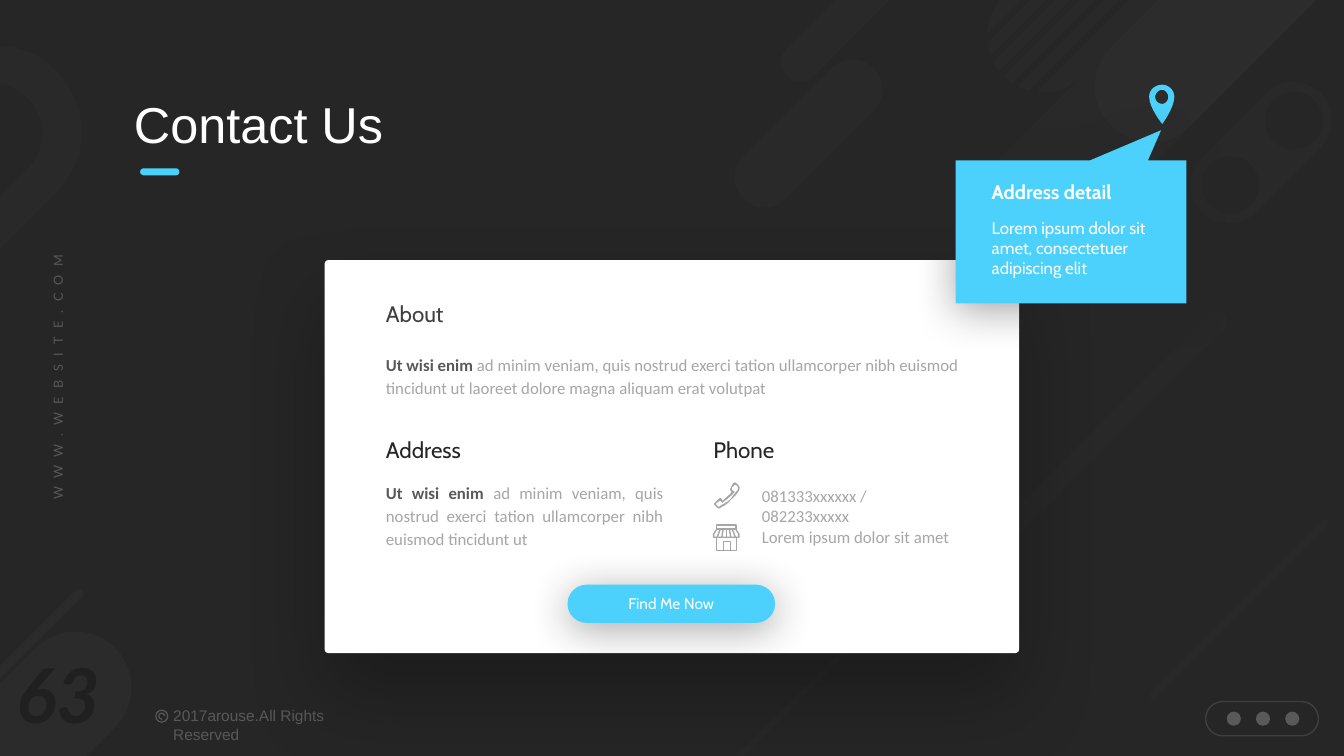
from pptx import Presentation
from pptx.dml.color import RGBColor
from pptx.enum.shapes import MSO_CONNECTOR, MSO_SHAPE
from pptx.enum.text import MSO_ANCHOR, PP_ALIGN
from pptx.oxml.ns import qn
from pptx.util import Inches, Pt
from lxml.etree import SubElement

CELL = Inches(0.1)
COLUMNS, ROWS = 133.33, 75

NIGHT = RGBColor(0x26, 0x26, 0x26)
NUMBER = RGBColor(0x20, 0x20, 0x20)
SHADE = RGBColor(0x0D, 0x0D, 0x0D)
PATTERN = RGBColor(0x40, 0x40, 0x40)
GRAY = RGBColor(0x59, 0x59, 0x59)
SILVER = RGBColor(0xA6, 0xA6, 0xA6)
WHITE = RGBColor(0xFF, 0xFF, 0xFF)
SKY = RGBColor(0x4B, 0xD1, 0xFB)

HEADING = {"name": "Cabin", "size": Pt(16)}
BODY = {"name": "Calibri", "size": Pt(12)}
STRONG = BODY | {"bold": True}
JUSTIFIED = {"alignment": PP_ALIGN.JUSTIFY, "line_spacing": 1.14}
CENTERED = {"alignment": PP_ALIGN.CENTER}
FLOATING = (NIGHT, 40, 30, 5)


def set_values(target, values):
    for name, value in values.items():
        setattr(target, name, value)


def cells(*counts):
    return [round(count * CELL) for count in counts]


def flatten(contour, steps=8):
    """Return grid points for a start point followed by lines (2 numbers) and curves (6)."""
    points = [contour[0]]
    for segment in contour[1:]:
        if len(segment) == 2:
            points.append(segment)
            continue
        knots = [points[-1], segment[:2], segment[2:4], segment[4:]]
        for step in range(1, steps + 1):
            t = step / steps
            weights = ((1 - t) ** 3, 3 * t * (1 - t) ** 2, 3 * t * t * (1 - t), t ** 3)
            points.append(tuple(sum(w * knot[axis] for w, knot in zip(weights, knots))
                                for axis in (0, 1)))
    return points


class Canvas:
    """Holds the slide and draws on it in grid columns and rows."""

    def __init__(self, deck):
        self.page = deck.slides.add_slide(deck.slide_layouts[6])
        background = self.page.background.fill
        background.solid()
        background.fore_color.rgb = NIGHT

    def paint(self, shape, fill=None, line=None, alpha=None, shadow=None):
        """Style a shape; shadow is (colour, opacity, blur, distance), cast downwards."""
        shape.shadow.inherit = False
        if fill is None:
            shape.fill.background()
        else:
            shape.fill.solid()
            shape.fill.fore_color.rgb = fill
        if line is None:
            shape.line.fill.background()
        else:
            shape.line.color.rgb = line
            shape.line.width = Pt(1)
        properties = shape._element.spPr
        if alpha:
            for color in properties.iter(qn("a:srgbClr")):
                SubElement(color, qn("a:alpha"), val=str(alpha * 1000))
        if shadow:
            tint, opacity, blur, distance = shadow
            outer = SubElement(properties.find(qn("a:effectLst")), qn("a:outerShdw"),
                               blurRad=str(Pt(blur)), dist=str(Pt(distance)),
                               dir="5400000", algn="t", rotWithShape="0")
            color = SubElement(outer, qn("a:srgbClr"), val=str(tint))
            SubElement(color, qn("a:alpha"), val=str(opacity * 1000))
        return shape

    def shape(self, kind, at, adjust=(), turn=0, **style):
        shape = self.page.shapes.add_shape(kind, *cells(*at))
        for index, value in enumerate(adjust):
            shape.adjustments[index] = value
        shape.rotation = turn
        return self.paint(shape, **style)

    def pill(self, at, **style):
        return self.shape(MSO_SHAPE.ROUNDED_RECTANGLE, at, (0.5,), **style)

    def outline(self, *contours, **style):
        flat = [[cells(*point) for point in flatten(contour)] for contour in contours]
        builder = self.page.shapes.build_freeform(*flat[0][0], scale=1.0)
        for index, points in enumerate(flat):
            if index:
                builder.move_to(*points[0])
            builder.add_line_segments(points[1:], close=True)
        return self.paint(builder.convert_to_shape(), **style)

    def stroke(self, start, end, color):
        line = self.page.shapes.add_connector(MSO_CONNECTOR.STRAIGHT, *cells(*start, *end))
        line.line.color.rgb = color
        line.line.width = Pt(1)
        SubElement(line._element.spPr, qn("a:effectLst"))

    def letter(self, box, spans, layout=None):
        """Fill the first paragraph with (words, font values, colour) spans."""
        para = box.text_frame.paragraphs[0]
        set_values(para, layout or {})
        for words, font, color in spans:
            span = para.add_run()
            span.text = words
            set_values(span.font, font)
            span.font.color.rgb = color
        return para

    def text(self, at, *spans, layout=None, turn=0):
        box = self.page.shapes.add_textbox(*cells(*at))
        box.text_frame.word_wrap = True
        box.rotation = turn
        return self.letter(box, spans, layout)


def draw_backdrop(canvas):
    canvas.outline([(0, 4.6), (0.8, 4.6), (2, 4.8, 3.2, 5.2, 4.2, 5.9), (5.6, 7), (6.7, 8.4),
                    (8.9, 11.7, 8.5, 16.2, 5.6, 19.1), (0, 24.7), (0, 19.5), (2.8, 16.7),
                    (4.7, 14.8, 4.7, 11.7, 2.8, 9.8), (2.1, 9.1, 1.2, 8.6, 0.3, 8.4), (0, 8.4)],
                   fill=PATTERN, alpha=15)
    for at in ((115.3, -28.8, 11.1, 61.4), (126.4, -39.9, 11.1, 61.4),
               (115.7, -44.9, 11.1, 61.4), (121.3, 6.8, 7.6, 16.7)):
        canvas.pill(at, turn=45, fill=PATTERN, alpha=15)
    for left, top in ((125.5, 9.1), (119.2, 15.5)):
        canvas.shape(MSO_SHAPE.OVAL, (left, top, 5.7, 5.7), fill=NIGHT)
    for index in range(5):
        canvas.pill((96.9 + 2.43 * index, -23.9, 0.6, 57), turn=45, fill=NIGHT)
    for at, alpha in (((-0.6, 61.6, 11.1, 18.3), 20), ((2.8, 56.5, 0.9, 13.9), 20),
                      ((82.9, 44.4, 0.5, 41.7), 10), ((105.6, 25.1, 2, 41.9), 10),
                      ((77.2, 4.1, 6, 18.3), 12), ((82.6, -8.1, 3.8, 18.3), 15),
                      ((122.6, 48, 0.7, 24.9), 10)):
        canvas.pill(at, turn=45, fill=PATTERN, alpha=alpha)


def draw_margins(canvas):
    canvas.text((-0.2, 63.8, 12, 10),
                ("63", {"name": "Lato", "size": Pt(54), "bold": True, "italic": True}, NUMBER),
                layout=CENTERED)
    canvas.shape(MSO_SHAPE.DONUT, (15.4, 70.4, 1.3, 1.3), (0.09,), fill=GRAY)
    canvas.shape(MSO_SHAPE.BLOCK_ARC, (15.7, 70.7, 0.7, 0.7), (45, -45, 0.17), fill=GRAY)
    canvas.text((16.2, 69.6, 23.2, 2.9),
                ("2017arouse.All Rights Reserved", {"name": "Arial", "size": Pt(11)}, GRAY))
    website = canvas.text((-8.7, 36.2, 28.9, 2.5),
                          ("WWW.WEBSITE.COM", {"name": "Lato", "size": Pt(9)}, GRAY),
                          layout=CENTERED, turn=270)
    website.runs[0]._r.get_or_add_rPr().set("spc", "600")
    canvas.pill((119.6, 69.6, 11.2, 3.4), line=GRAY, alpha=50)
    for index in range(3):
        canvas.shape(MSO_SHAPE.OVAL, (121.7 + 2.9 * index, 70.6, 1.4, 1.4), fill=GRAY)


def draw_phone(canvas):
    canvas.outline(
        [(73.3, 48.2), (73, 47.9), (72.9, 47.8, 72.8, 47.9, 72.7, 48), (72.5, 48.4),
         (72.4, 48.5, 72.4, 48.6, 72.5, 48.7), (72.6, 48.8), (72.5, 48.9, 72.4, 49.1, 72.2, 49.2),
         (71.7, 49.7), (71.6, 49.5), (71.5, 49.4, 71.4, 49.4, 71.3, 49.5), (70.9, 49.9),
         (70.8, 50, 70.8, 50, 70.9, 50.1), (71.1, 50.3), (71.2, 50.5, 71.4, 50.5, 71.6, 50.3),
         (71.6, 50.3, 72.1, 50.1, 72.5, 49.6), (73, 49.2, 73.3, 48.7, 73.3, 48.7),
         (73.4, 48.5, 73.4, 48.3, 73.3, 48.2)],
        [(73.2, 48.6), (73, 48.8, 72.7, 49.2, 72.5, 49.5), (72.2, 49.8, 71.4, 50.2, 71.4, 50.2),
         (71.4, 50.3, 71.2, 50.3, 71.2, 50.2), (71.1, 50.1), (71, 50, 71, 50, 71.1, 49.9),
         (71.4, 49.7), (71.5, 49.7), (71.7, 49.9), (71.7, 49.8, 72.4, 49.4, 72.9, 48.8),
         (72.6, 48.6), (72.6, 48.6, 72.6, 48.5, 72.6, 48.4), (72.9, 48.1), (73, 48.1),
         (73.2, 48.3), (73.2, 48.4, 73.2, 48.5, 73.2, 48.6)], fill=SILVER)


def draw_store(canvas):
    for at in ((71.1, 52.1, 1.9, 0.4), (71.1, 53.3, 2, 1.3), (71.75, 53.7, 0.7, 0.9)):
        canvas.shape(MSO_SHAPE.RECTANGLE, at, line=SILVER)
    canvas.outline([(71.1, 52.5), (70.8, 53), (70.8, 53.3), (73.3, 53.3), (73.3, 53), (73, 52.5)],
                   line=SILVER)
    for index in range(-2, 3):
        canvas.stroke((72.05 + 0.3 * index, 52.5), (72.05 + 0.45 * index, 53.3), SILVER)


def draw_card(canvas):
    opening = ("Ut wisi enim ", STRONG, GRAY)
    sentence = "ad minim veniam, quis nostrud exerci tation ullamcorper nibh euismod tincidunt ut"
    canvas.shape(MSO_SHAPE.ROUNDED_RECTANGLE, (32.2, 25.8, 68.9, 39), (0.01,),
                 fill=WHITE, shadow=(SHADE, 40, 59, 30))
    for title, left, top, color in (("About", 37.3, 29.3, PATTERN), ("Address", 37.3, 42.8, NIGHT),
                                    ("Phone", 69.8, 42.8, NIGHT)):
        canvas.text((left, top, 17.4, 3.7), (title, HEADING, color))
    canvas.text((37.3, 34.4, 58.8, 8.4), opening,
                (sentence + " laoreet dolore magna aliquam erat volutpat", BODY, SILVER),
                layout=JUSTIFIED)
    canvas.text((37.3, 47.1, 29.5, 7.9), opening, (sentence, BODY, SILVER), layout=JUSTIFIED)
    for words, top in (("081333xxxxxx / 082233xxxxx", 47.7), ("Lorem ipsum dolor sit amet", 51.8)):
        canvas.text((74.6, top, 21, 3), (words, BODY, SILVER))
    draw_phone(canvas)
    draw_store(canvas)
    button = canvas.pill((56.3, 58, 20.6, 3.8), fill=SKY, shadow=FLOATING)
    button.text_frame.vertical_anchor = MSO_ANCHOR.MIDDLE
    canvas.letter(button, [("Find Me Now", HEADING | {"size": Pt(11)}, WHITE)], CENTERED)


def draw_callout(canvas):
    canvas.outline([(115.3, 8.4), (114.6, 8.4, 114, 8.9, 114, 9.6),
                    (114, 10.7, 115.3, 12.3, 115.3, 12.3), (115.3, 12.3, 116.5, 10.7, 116.5, 9.6),
                    (116.5, 8.9, 115.9, 8.4, 115.3, 8.4)],
                   [(115.3, 10.3), (114.9, 10.3, 114.6, 10, 114.6, 9.6),
                    (114.6, 9.3, 114.9, 8.9, 115.3, 8.9), (115.6, 8.9, 115.9, 9.3, 115.9, 9.6),
                    (115.9, 10, 115.6, 10.3, 115.3, 10.3)], fill=SKY)
    canvas.shape(MSO_SHAPE.RECTANGULAR_CALLOUT, (94.8, 15.9, 22.9, 14.2), (0.39, -0.71),
                 fill=SKY, shadow=FLOATING)
    canvas.text((97.4, 17.4, 15.6, 3.4),
                ("Address detail", HEADING | {"size": Pt(14), "bold": True}, WHITE))
    canvas.text((97.4, 21.1, 17.9, 7.1),
                ("Lorem ipsum dolor sit amet, consectetuer adipiscing elit",
                 HEADING | {"size": Pt(12)}, WHITE))


def main():
    deck = Presentation()
    deck.slide_width, deck.slide_height = cells(COLUMNS, ROWS)
    canvas = Canvas(deck)
    draw_backdrop(canvas)
    draw_margins(canvas)
    draw_card(canvas)
    canvas.text((12.3, 8.7, 54.5, 7.1), ("Contact Us", {"name": "Arial", "size": Pt(36)}, WHITE))
    canvas.pill((13.9, 16.7, 3.9, 0.7), fill=SKY)
    draw_callout(canvas)
    deck.save("out.pptx")


if __name__ == "__main__":
    main()
